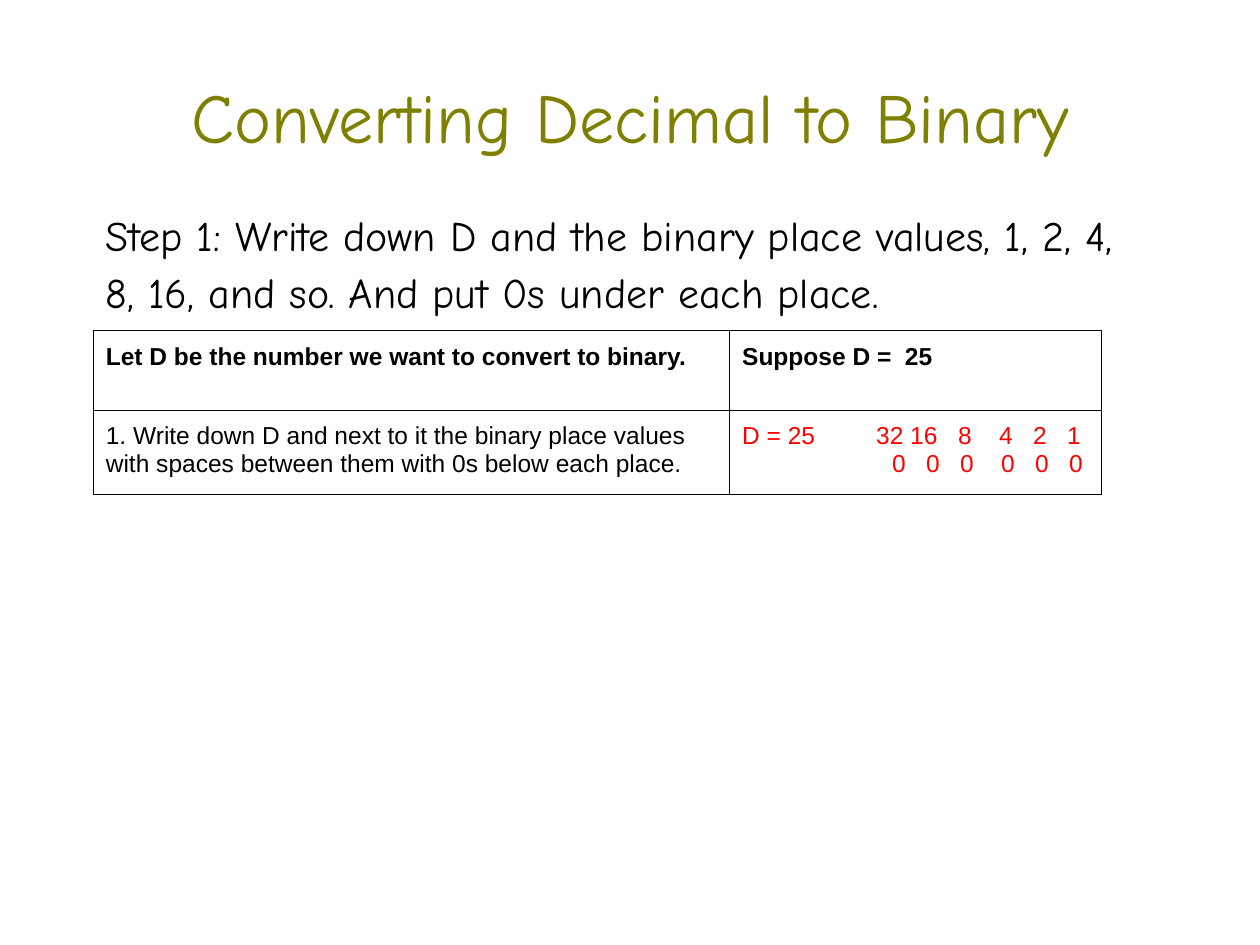
import pptx
import pptx.util
import pptx.dml.color
import pptx.enum.text
import pptx.oxml
import pptx.oxml.ns
from dataclasses import dataclass

Pt = pptx.util.Pt
RGB = pptx.dml.color.RGBColor
Align = pptx.enum.text.PP_ALIGN
Anchor = pptx.enum.text.MSO_ANCHOR


@dataclass(frozen=True)
class Theme:
    display: str = "Comic Neue"
    table: str = "Arial"
    olive: str = "808000"
    ink: str = "000000"
    red: str = "FF0000"
    title_size: int = 40
    body_size: int = 24
    cell_size: int = 14
    border: float = 0.75


THEME = Theme()
PLACE_TABS = (76.6, 96, 123.4, 146.9, 166.3, 185.7)
ZERO_TABS = (85.7, 105.1, 124.6, 148, 167.4, 186.9)


def style(p, face, size, color, bold=False):
    p.font.name = face
    p.font.size = Pt(size)
    p.font.bold = bold
    p.font.color.rgb = RGB.from_string(color)


def add_text(s, box, text, size, color, align, anchor, spacing=1):
    tf = s.shapes.add_textbox(*map(Pt, box)).text_frame
    tf.word_wrap = True
    tf.vertical_anchor = anchor
    p = tf.paragraphs[0]
    p.text = text
    p.alignment = align
    p.line_spacing = spacing
    style(p, THEME.display, size, color)


def set_tabs(p, stops):
    ns = pptx.oxml.ns.nsdecls("a")
    tabs = "".join(f'<a:tab pos="{Pt(x)}" algn="l"/>' for x in stops)
    p._p.get_or_add_pPr().insert(
        0, pptx.oxml.parse_xml(f"<a:tabLst {ns}>{tabs}</a:tabLst>"))


def set_borders(cell):
    ns = pptx.oxml.ns.nsdecls("a")
    tcPr = cell._tc.get_or_add_tcPr()
    for i, side in enumerate("LRTB"):
        tcPr.insert(i, pptx.oxml.parse_xml(
            f'<a:ln{side} {ns} w="{Pt(THEME.border)}"><a:solidFill>'
            f'<a:srgbClr val="{THEME.ink}"/></a:solidFill></a:ln{side}>'))


def fill_cell(cell, lines, color, bold):
    cell.margin_left = cell.margin_right = Pt(7.2)
    cell.margin_top = cell.margin_bottom = Pt(7.2)
    cell.fill.background()
    set_borders(cell)
    tf = cell.text_frame
    for i, (text, stops) in enumerate(lines):
        p = tf.add_paragraph() if i else tf.paragraphs[0]
        p.text = text
        style(p, THEME.table, THEME.cell_size, color, bold)
        if stops:
            set_tabs(p, stops)


def add_steps_table(s, left, top, widths, row_height, rows):
    table = s.shapes.add_table(
        len(rows), len(widths), Pt(left), Pt(top),
        Pt(sum(widths)), Pt(row_height * len(rows))).table
    table.first_row = table.horz_banding = False
    for column, width in zip(table.columns, widths):
        column.width = Pt(width)
    for r, row in enumerate(rows):
        for c, (lines, color) in enumerate(row):
            fill_cell(table.cell(r, c), lines, color, bold=r == 0)


def main():
    prs = pptx.Presentation()
    prs.slide_width, prs.slide_height = Pt(720), Pt(540)
    s = prs.slides.add_slide(prs.slide_layouts[6])

    add_text(s, (54, 30.24, 612, 72), "Converting Decimal to Binary",
             THEME.title_size, THEME.olive, Align.CENTER, Anchor.MIDDLE)
    add_text(s, (53.28, 111.6, 610.56, 84.96),
             "Step 1: Write down D and the binary place values, 1, 2, 4, 8, 16, "
             "and so. And put 0s under each place.",
             THEME.body_size, THEME.ink, Align.LEFT, Anchor.TOP, 1.15)

    places = "\t".join(["D = 25"] + [str(2 ** n) for n in range(5, -1, -1)])
    zeros = "\t0" * 6
    rows = [
        [([("Let D be the number we want to convert to binary.", None)], THEME.ink),
         ([("Suppose D =  25", None)], THEME.ink)],
        [([("1. Write down D and next to it the binary place values with spaces "
            "between them with 0s below each place.", None)], THEME.ink),
         ([(places, PLACE_TABS), (zeros, ZERO_TABS)], THEME.red)],
    ]
    add_steps_table(s, 53.28, 188.64, (363.6, 212.4), 45.7, rows)

    prs.save("out.pptx")


if __name__ == "__main__":
    main()
